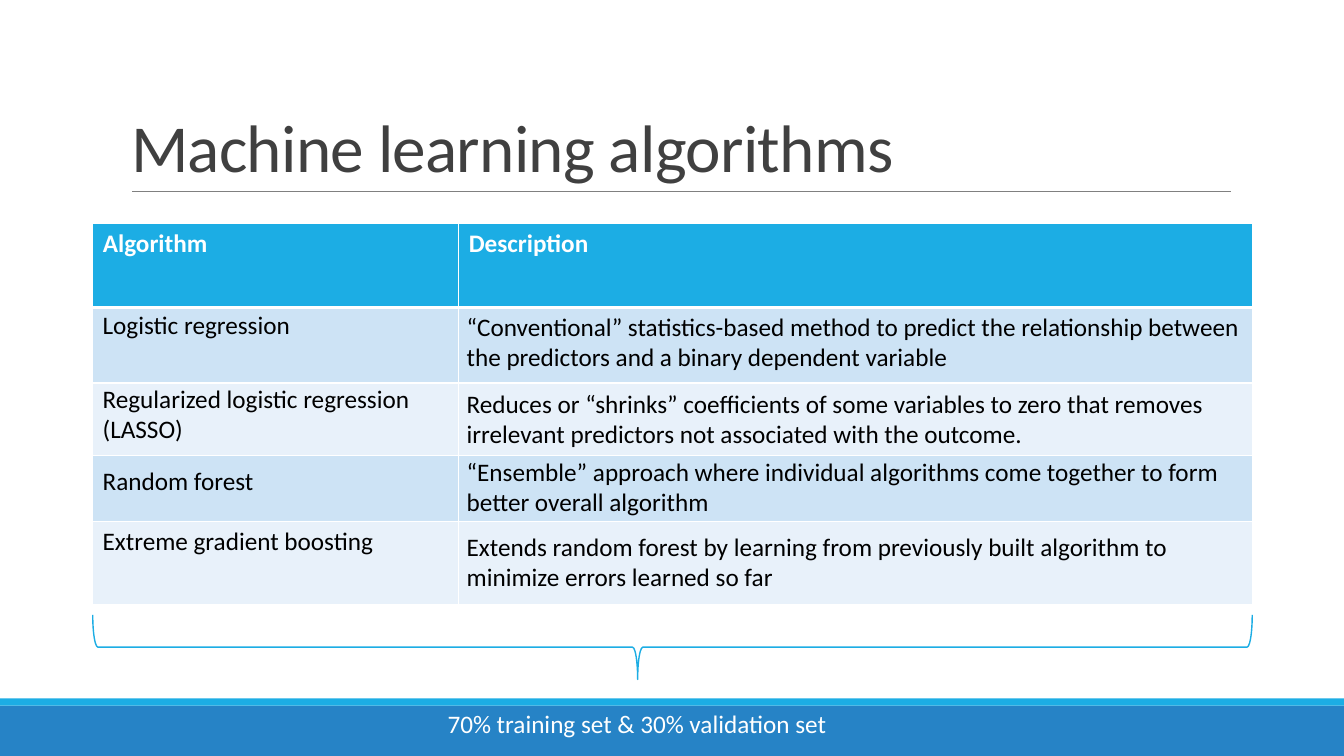
from collections import namedtuple
from dataclasses import dataclass

from lxml.etree import SubElement
from pptx import Presentation
from pptx.dml.color import RGBColor
from pptx.enum.shapes import MSO_CONNECTOR, MSO_SHAPE
from pptx.enum.text import MSO_ANCHOR, MSO_AUTO_SIZE, PP_ALIGN
from pptx.oxml.ns import qn
from pptx.util import Inches, Pt

Box = namedtuple("Box", "left top width height")


@dataclass(frozen=True)
class Theme:
    """Colours, font and type sizes of the slide."""
    font: str = "Calibri"
    title_size: int = 48
    body_size: int = 18
    accent: str = "1CADE4"
    footer: str = "2683C6"
    rule: str = "808080"
    title: str = "404040"
    dark: str = "000000"
    light: str = "FFFFFF"
    bands: tuple = ("CDE3F5", "E8F1FA")


THEME = Theme()
COLUMN_WIDTHS = (3.63, 7.87)
ROW_HEIGHTS = (0.83, 0.75, 0.72, 0.65, 0.83)
ALGORITHMS = (
    ("Logistic regression", 0.8, 0.4,
     "“Conventional” statistics-based method to predict the relationship "
     "between the predictors and a binary dependent variable", 0.82),
    ("Regularized logistic regression (LASSO)", 1.53, 0.71,
     "Reduces or “shrinks” coefficients of some variables to zero that "
     "removes irrelevant predictors not associated with the outcome.", 1.58),
    ("Random forest", 2.35, 0.4,
     "“Ensemble” approach where individual algorithms come together to form "
     "better overall algorithm", 2.26),
    ("Extreme gradient boosting", 2.94, 0.4,
     "Extends random forest by learning from previously built algorithm to "
     "minimize errors learned so far", 3.0),
)


def inches(box):
    """Turn a box of numbers into lengths."""
    return [Inches(value) for value in box]


def write(text_frame, text, color, size=THEME.body_size, bold=False):
    """Set the text of a frame and format its runs."""
    text_frame.text = text
    for paragraph in text_frame.paragraphs:
        paragraph.alignment = PP_ALIGN.LEFT
        for run in paragraph.runs:
            run.font.name = THEME.font
            run.font.size = Pt(size)
            run.font.bold = bold
            run.font.color.rgb = RGBColor.from_string(color)


def add_label(shapes, box, text, color):
    """Add a wrapping text box that grows with its text."""
    text_frame = shapes.add_textbox(*inches(box)).text_frame
    text_frame.word_wrap = True
    text_frame.auto_size = MSO_AUTO_SIZE.SHAPE_TO_FIT_TEXT
    write(text_frame, text, color)


def add_bar(slide, box, color):
    """Add a plain filled bar."""
    bar = slide.shapes.add_shape(MSO_SHAPE.RECTANGLE, *inches(box))
    bar.shadow.inherit = False
    bar.fill.solid()
    bar.fill.fore_color.rgb = RGBColor.from_string(color)
    bar.line.fill.background()


def add_footer(slide, box):
    """Add the footer band with its thin accent stripe."""
    stripe = 0.07
    add_bar(slide, Box(box.left, box.top + stripe, box.width, box.height - stripe),
            THEME.footer)
    add_bar(slide, box._replace(height=stripe), THEME.accent)


def add_title(slide, box, text):
    """Fill the title placeholder and draw the rule under it."""
    title = slide.shapes.title
    title.left, title.top, title.width, title.height = inches(box)
    text_frame = title.text_frame
    write(text_frame, text, THEME.title, THEME.title_size)
    text_frame.auto_size = MSO_AUTO_SIZE.NONE
    text_frame.vertical_anchor = MSO_ANCHOR.BOTTOM
    text_frame.paragraphs[0].line_spacing = 0.85
    for properties in title.element.iter(qn("a:rPr")):
        properties.set("spc", "-50")
    bottom = box.top + box.height
    rule = slide.shapes.add_connector(
        MSO_CONNECTOR.STRAIGHT,
        *inches((box.left + 0.11, bottom, box.left + box.width + 0.01, bottom)))
    rule.line.color.rgb = RGBColor.from_string(THEME.rule)
    rule.line.width = Pt(0.5)
    SubElement(rule.element.spPr, qn("a:effectLst"))


def set_borders(frame, column_count):
    """Give every cell white borders, thicker under the header row."""
    for index, properties in enumerate(frame.element.iter(qn("a:tcPr"))):
        header = index < column_count
        for position, side in enumerate(("lnL", "lnR", "lnT", "lnB")):
            thick = header and side == "lnB" or (
                column_count <= index < 2 * column_count and side == "lnT")
            border = SubElement(properties, qn(f"a:{side}"), w=str(Pt(3 if thick else 1)))
            fill = SubElement(border, qn("a:solidFill"))
            SubElement(fill, qn("a:srgbClr"), val=THEME.light)
            properties.insert(position, border)


def add_algorithm_table(slide, box):
    """Add the banded table and the labels that lie on its rows."""
    frame = slide.shapes.add_table(len(ROW_HEIGHTS), len(COLUMN_WIDTHS), *inches(box))
    table = frame.table
    for column, width in zip(table.columns, COLUMN_WIDTHS):
        column.width = Inches(width)
    for index, (row, height) in enumerate(zip(table.rows, ROW_HEIGHTS)):
        row.height = Inches(height)
        color = THEME.bands[(index - 1) % 2] if index else THEME.accent
        for cell in row.cells:
            cell.fill.solid()
            cell.fill.fore_color.rgb = RGBColor.from_string(color)
    for cell, heading in zip(table.rows[0].cells, ("Algorithm", "Description")):
        write(cell.text_frame, heading, THEME.light, bold=True)
    set_borders(frame, len(COLUMN_WIDTHS))

    name_width, description_width = COLUMN_WIDTHS
    for name, name_top, name_height, description, description_top in ALGORITHMS:
        add_label(slide.shapes,
                  Box(box.left + name_width - 0.02, box.top + description_top,
                      description_width + 0.02, 0.71),
                  description, THEME.dark)
        add_label(slide.shapes,
                  Box(box.left, box.top + name_top, name_width, name_height),
                  name, THEME.dark)


def add_split_brace(slide, box):
    """Add a downward brace across the box with its caption below."""
    shapes = slide.shapes.add_group_shape().shapes
    add_label(shapes, Box(box.left + 3.42, box.top + 0.88, 4.72, 0.4),
              "70% training set & 30% validation set", THEME.light)
    upright = Box(box.left + (box.width - box.height) / 2,
                  box.top + (box.height - box.width) / 2, box.height, box.width)
    brace = shapes.add_shape(MSO_SHAPE.LEFT_BRACE, *inches(upright))
    brace.rotation = 270
    brace.adjustments[0] = 0.08
    brace.adjustments[1] = 0.47
    brace.shadow.inherit = False
    brace.fill.background()
    brace.line.color.rgb = RGBColor.from_string(THEME.accent)
    brace.line.width = Pt(1)


def main():
    """Build and save the slide."""
    presentation = Presentation()
    presentation.slide_width = Inches(13.33)
    presentation.slide_height = Inches(7.5)
    slide = presentation.slides.add_slide(presentation.slide_layouts[5])
    add_footer(slide, Box(0, 6.93, 13.33, 0.57))
    add_title(slide, Box(1.2, 0.31, 11, 1.59), "Machine learning algorithms")
    add_algorithm_table(slide, Box(0.92, 2.22, sum(COLUMN_WIDTHS), sum(ROW_HEIGHTS)))
    add_split_brace(slide, Box(0.92, 6.1, 11.5, 0.64))
    presentation.save("out.pptx")


if __name__ == "__main__":
    main()
